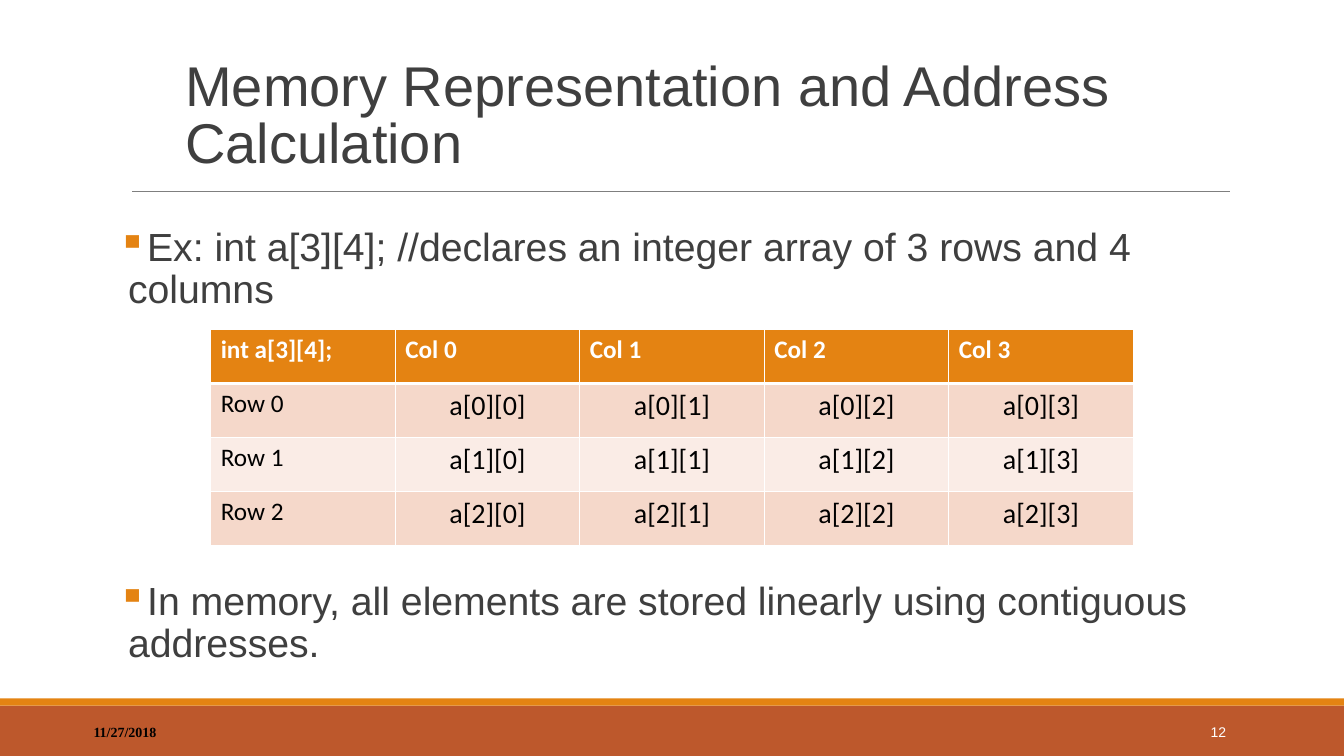
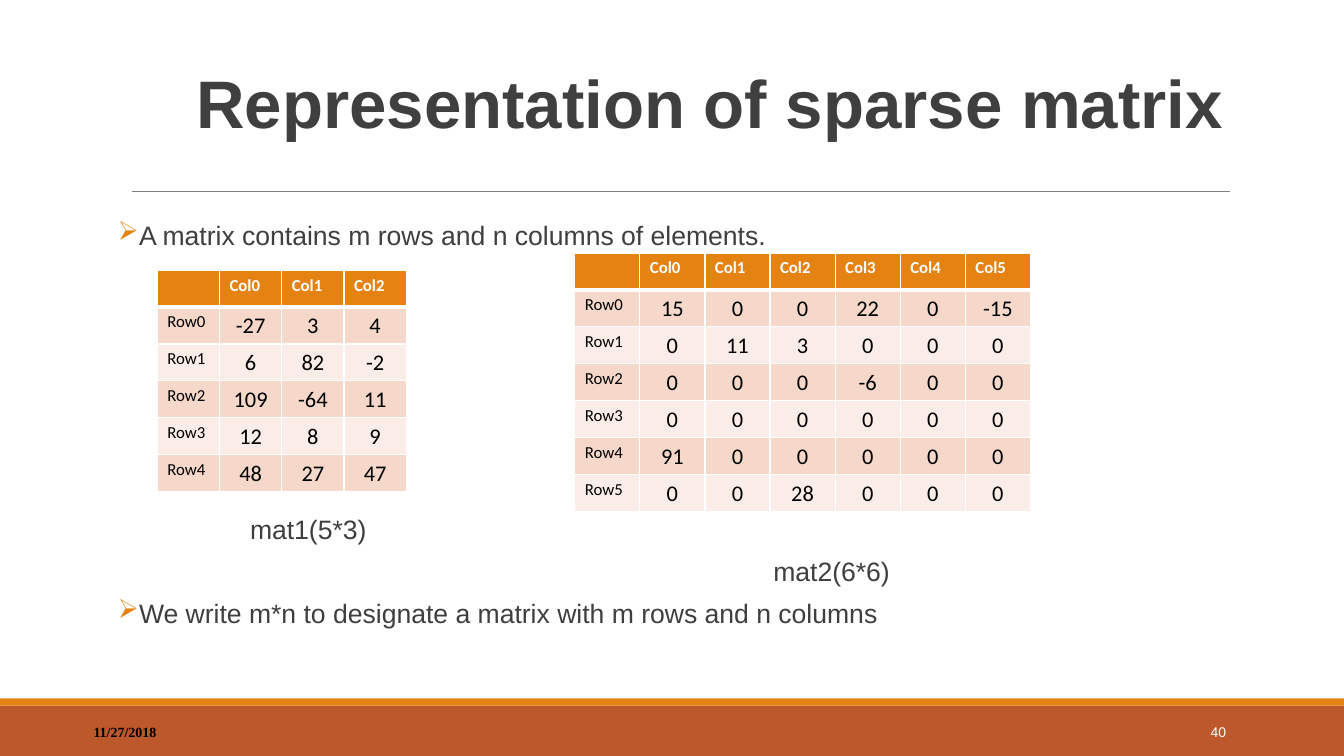
from itertools import product

from lxml import etree
from pptx import Presentation
from pptx.dml.color import RGBColor
from pptx.enum import shapes, text
from pptx.oxml import ns
from pptx.util import Inches, Pt

ORANGE, RUST, GREY, INK = "E48312", "BD582C", "7F7F7F", "3F3F3F"
WHITE, BLACK, BANDS = "FFFFFF", "000000", ("F5D8CA", "FAECE6")
CENTER, RIGHT = text.PP_ALIGN.CENTER, text.PP_ALIGN.RIGHT
TOP, MIDDLE, BOTTOM = text.MSO_ANCHOR.TOP, text.MSO_ANCHOR.MIDDLE, text.MSO_ANCHOR.BOTTOM


def rgb(value):
    """Turn a hex string into a colour."""
    return RGBColor.from_string(value)


def sub(parent, tag, **attrs):
    """Append a drawing element to a parent."""
    return etree.SubElement(parent, ns.qn(f"a:{tag}"), **attrs)


def write(p, words, color, **formats):
    """Add a formatted run to a paragraph."""
    r = p.add_run()
    r.text = words
    r.font.color.rgb = rgb(color)
    for name, value in formats.items():
        setattr(r.font, name, value)


def add_box(s, box, anchor=TOP, side=0.1):
    """Add a wrapping text box and return its text frame."""
    tf = s.shapes.add_textbox(*map(Inches, box)).text_frame
    formats = {
        "word_wrap": True,
        "vertical_anchor": anchor,
        "margin_left": Inches(side),
        "margin_right": Inches(side),
    }
    for name, value in formats.items():
        setattr(tf, name, value)
    return tf


def add_band(s, top, height, color):
    """Add a full-width coloured band."""
    sp = s.shapes.add_shape(
        shapes.MSO_SHAPE.RECTANGLE, 0, Inches(top), Inches(13.33), Inches(height))
    sp.shadow.inherit = False
    sp.fill.solid()
    sp.fill.fore_color.rgb = rgb(color)
    sp.line.fill.background()


def add_rule(s):
    """Add the thin line under the title."""
    sp = s.shapes.add_connector(
        shapes.MSO_CONNECTOR.STRAIGHT, *map(Inches, (1.31, 1.9, 12.2, 1.9)))
    sp.line.color.rgb = rgb(GREY)
    sp.line.width = Pt(0.75)
    sub(sp._element.spPr, "effectLst")


def add_slide(prs, title, box, number, size, bold=False):
    """Add a slide with its bands, title, date and number."""
    s = prs.slides.add_slide(prs.slide_layouts[6])
    add_band(s, 7, 0.5, RUST)
    add_band(s, 6.93, 0.07, ORANGE)
    add_rule(s)
    p = add_box(s, box, BOTTOM).paragraphs[0]
    p.line_spacing = 0.85
    write(p, title, INK, size=Pt(size), name="Arial", bold=bold)
    p = add_box(s, (0.83, 7.06, 3, 0.4), MIDDLE).paragraphs[0]
    write(p, "11/27/2018", BLACK, size=Pt(10), name="Times New Roman", bold=True)
    p = add_box(s, (10.83, 7.06, 1.43, 0.4), MIDDLE).paragraphs[0]
    p.alignment = RIGHT
    write(p, str(number), WHITE, size=Pt(10), name="Arial")
    return s


def add_body(s, height, items, size, spacing, bullet):
    """Add body lines given as text, space before and plain indent."""
    tf = add_box(s, (1.17, 2.21, 11, height), side=0)
    for i, (words, before, indent) in enumerate(items):
        p = tf.add_paragraph() if i else tf.paragraphs[0]
        p.line_spacing = spacing
        if before:
            p.space_before = Pt(before)
        pPr = p._p.get_or_add_pPr()
        pPr.set("marL", str(Inches(indent or 0.1)))
        pPr.set("indent", str(0 if indent else -Inches(0.1)))
        if indent:
            sub(pPr, "buNone")
        else:
            sub(sub(pPr, "buClr"), "srgbClr", val=ORANGE)
            sub(pPr, "buChar", char=bullet)
        write(p, words, INK, size=Pt(size), name="Arial")


def add_borders(cell, row):
    """Draw white cell borders, thick below the header row."""
    tcPr = cell._tc.get_or_add_tcPr()
    thick = {(0, "lnB"), (1, "lnT")}
    for side in ("lnL", "lnR", "lnT", "lnB"):
        ln = sub(tcPr, side, w=str(Pt(3 if (row, side) in thick else 1)))
        sub(sub(ln, "solidFill"), "srgbClr", val=WHITE)


def add_matrix(s, box, rows, label_size, value_size):
    """Add a banded matrix table with row and column labels."""
    n_rows, n_cols = len(rows), len(rows[0])
    table = s.shapes.add_table(n_rows, n_cols, *map(Inches, box)).table
    for i, j in product(range(n_rows), range(n_cols)):
        cell, words = table.cell(i, j), str(rows[i][j])
        add_borders(cell, i)
        cell.fill.solid()
        cell.fill.fore_color.rgb = rgb(BANDS[(i - 1) % 2] if i else ORANGE)
        p = cell.text_frame.paragraphs[0]
        is_value = i > 0 and j > 0
        if is_value:
            p.alignment = CENTER
        size = Pt(value_size if is_value else label_size)
        if words:
            write(p, words, BLACK if i else WHITE, size=size, name="Calibri", bold=i == 0)
        else:
            sub(p._p, "endParaRPr", sz=str(size.centipoints))


def labelled(values, corner="", gap=""):
    """Put column and row labels around a grid of values."""
    header = [corner] + [f"Col{gap}{j}" for j in range(len(values[0]))]
    return [header] + [[f"Row{gap}{i}", *row] for i, row in enumerate(values)]


def main():
    """Build and save the slides."""
    prs = Presentation()
    prs.slide_width, prs.slide_height = Inches(13.33), Inches(7.5)

    s = add_slide(prs, "Memory Representation and Address Calculation",
                  (1.74, 0.93, 11, 0.86), 12, 40)
    add_body(s, 4.52, [
        ("Ex: int a[3][4]; //declares an integer array of 3 rows and 4 columns", 0, 0),
        ("In memory, all elements are stored linearly using contiguous addresses.", 192, 0),
    ], 28, 0.9, "▪")
    cells = [[f"a[{i}][{j}]" for j in range(4)] for i in range(3)]
    add_matrix(s, (2.09, 3.27, 9.15, 2.14), labelled(cells, "int a[3][4];", " "), 18, 20)

    s = add_slide(prs, "Representation of sparse matrix",
                  (1.85, 0.4, 11, 1.06), 40, 48, bold=True)
    add_body(s, 4.31, [
        ("A matrix contains m rows and n columns of elements.", 0, 0),
        ("mat1(5*3)", 194, 1.31),
        ("mat2(6*6)", 14, 6.5),
        ("We write m*n to designate a matrix with m rows and n columns", 14, 0),
    ], 19, 0.7, "➢")
    mat1 = [(-27, 3, 4), (6, 82, -2), (109, -64, 11), (12, 8, 9), (48, 27, 47)]
    mat2 = [
        (15, 0, 0, 22, 0, -15),
        (0, 11, 3, 0, 0, 0),
        (0, 0, 0, -6, 0, 0),
        (0, 0, 0, 0, 0, 0),
        (91, 0, 0, 0, 0, 0),
        (0, 0, 28, 0, 0, 0),
    ]
    add_matrix(s, (1.56, 2.68, 2.47, 2.19), labelled(mat1), 12, 16)
    add_matrix(s, (5.7, 2.51, 4.52, 2.56), labelled(mat2), 12, 16)

    prs.save("out.pptx")


if __name__ == "__main__":
    main()
